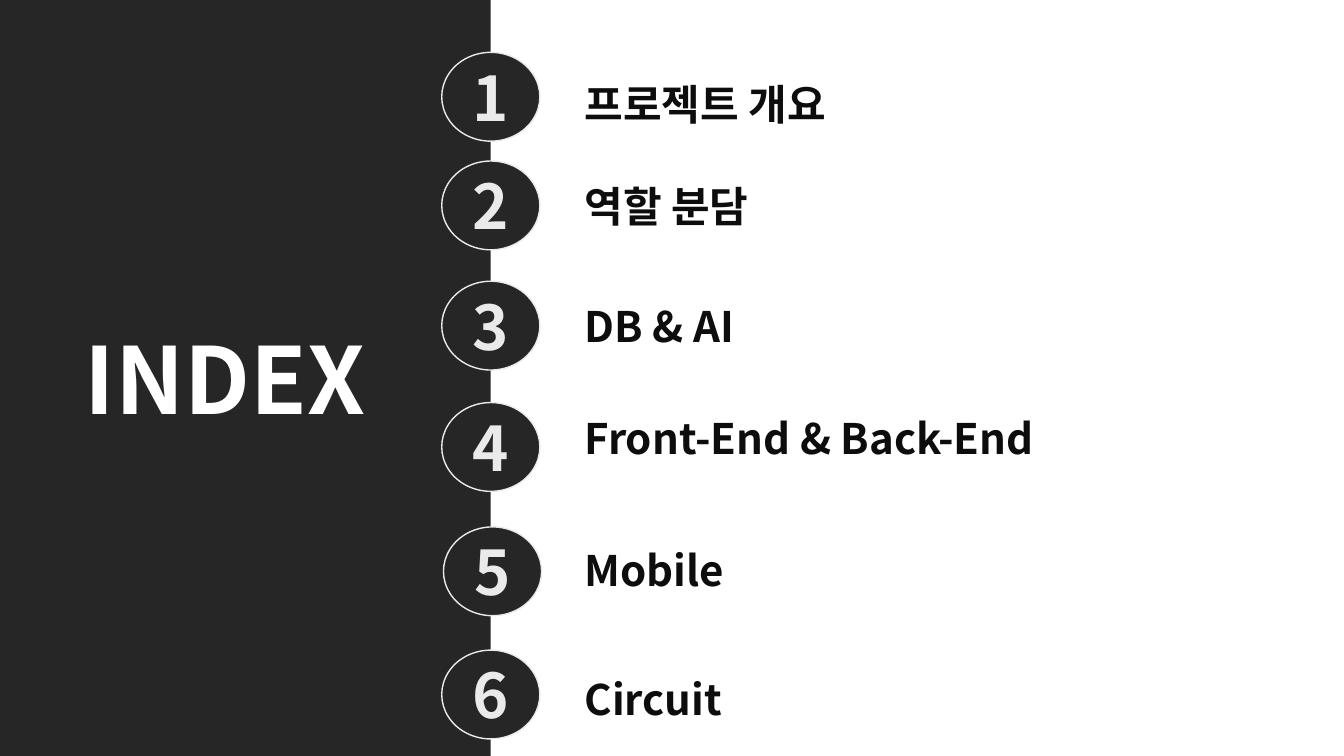
from lxml import etree
from pptx import Presentation
from pptx.dml.color import RGBColor
from pptx.enum.shapes import MSO_SHAPE
from pptx.enum.text import MSO_ANCHOR, MSO_AUTO_SIZE, PP_ALIGN
from pptx.oxml.ns import qn
from pptx.util import Inches, Pt

RECT, OVAL = MSO_SHAPE.RECTANGLE, MSO_SHAPE.OVAL
TOP, MIDDLE = MSO_ANCHOR.TOP, MSO_ANCHOR.MIDDLE
GROW, FIXED = MSO_AUTO_SIZE.SHAPE_TO_FIT_TEXT, MSO_AUTO_SIZE.NONE
LEFT = PP_ALIGN.LEFT

FONT = "Noto Sans CJK KR"
COLORS = {"dark": "262626", "white": "FFFFFF", "pale": "EAEAEA", "ink": "0D0D0D"}
TITLE_ONLY = 5
PANEL_X, BADGE_X, LABEL_X = 36.5, 32.87, 42.75

# number, label, badge column, badge row, label row, label height
ITEMS = [
    ("1", "프로젝트 개요", BADGE_X, 6.93, 6.93, 13.6),
    ("2", "역할 분담", BADGE_X, 21.3, 20.4, 13.6),
    ("3", "DB & AI", BADGE_X, 37.2, 36.27, 13.6),
    ("4", "Front-End & Back-End", BADGE_X, 53.25, 51.07, 13.6),
    ("5", "Mobile", BADGE_X + 0.13, 69.7, 69.47, 11.73),
    ("6", "Circuit", BADGE_X, 86, 86.53, 11.73),
]


class Deck:
    """Holds the style and the slide, laid out on 100 columns by 100 rows."""

    def __init__(self):
        self.prs = Presentation()
        self.prs.slide_width, self.prs.slide_height = Inches(13.33), Inches(7.5)
        self.slide = self.prs.slides.add_slide(self.prs.slide_layouts[TITLE_ONLY])
        fill = self.slide.background.fill
        fill.solid()
        fill.fore_color.rgb = self.color("dark")

    def color(self, name):
        return RGBColor.from_string(COLORS[name])

    def area(self, x, y, w, h):
        col, row = self.prs.slide_width / 100, self.prs.slide_height / 100
        return int(x * col), int(y * row), int(w * col), int(h * row)

    def set_text(self, shape, text, size, color, wrap=False, anchor=TOP, before=0):
        frame = shape.text_frame
        frame.text = text
        frame.word_wrap = wrap
        frame.auto_size = FIXED if wrap else GROW
        frame.vertical_anchor = anchor
        para = frame.paragraphs[0]
        para.alignment = LEFT
        para.space_before = Pt(before)
        font = para.font
        font.name, font.size, font.bold = FONT, Pt(size), True
        font.color.rgb = self.color(color)
        # Korean glyphs take their face from the East Asian font
        latin = para._p.find(".//" + qn("a:latin"))
        east = etree.Element(qn("a:ea"), typeface=FONT)
        latin.addnext(east)

    def title(self, text, *box):
        shape = self.slide.shapes.title
        shape.left, shape.top, shape.width, shape.height = self.area(*box)
        self.set_text(shape, text, 66, "white")

    def shape(self, parent, kind, box, fill, line=None):
        shape = parent.add_shape(kind, *self.area(*box))
        shape.shadow.inherit = False
        shape.fill.solid()
        shape.fill.fore_color.rgb = self.color(fill)
        if line:
            shape.line.color.rgb = self.color(line)
            shape.line.width = Pt(1)
        else:
            shape.line.fill.background()

    def badge(self, text, x, y):
        group = self.slide.shapes.add_group_shape().shapes
        self.shape(group, OVAL, (x, y, 7.3, 11.75), "dark", "pale")
        digit = group.add_textbox(*self.area(x + 1.55, y + 0.3, 4.2, 11.2))
        self.set_text(digit, text, 44, "pale")

    def label(self, text, y, h):
        box = self.slide.shapes.add_textbox(*self.area(LABEL_X, y, 52.9, h))
        self.set_text(box, text, 30, "ink", wrap=True, anchor=MIDDLE, before=10)


def main():
    deck = Deck()
    panel = (PANEL_X, 0, 100 - PANEL_X, 100)
    deck.shape(deck.slide.shapes, RECT, panel, "white")
    deck.title("INDEX", 5.55, 41.9, 22.8, 16.1)
    for number, text, x, y, row, height in ITEMS:
        deck.badge(number, x, y)
        deck.label(text, row, height)
    deck.prs.save("out.pptx")


if __name__ == "__main__":
    main()
